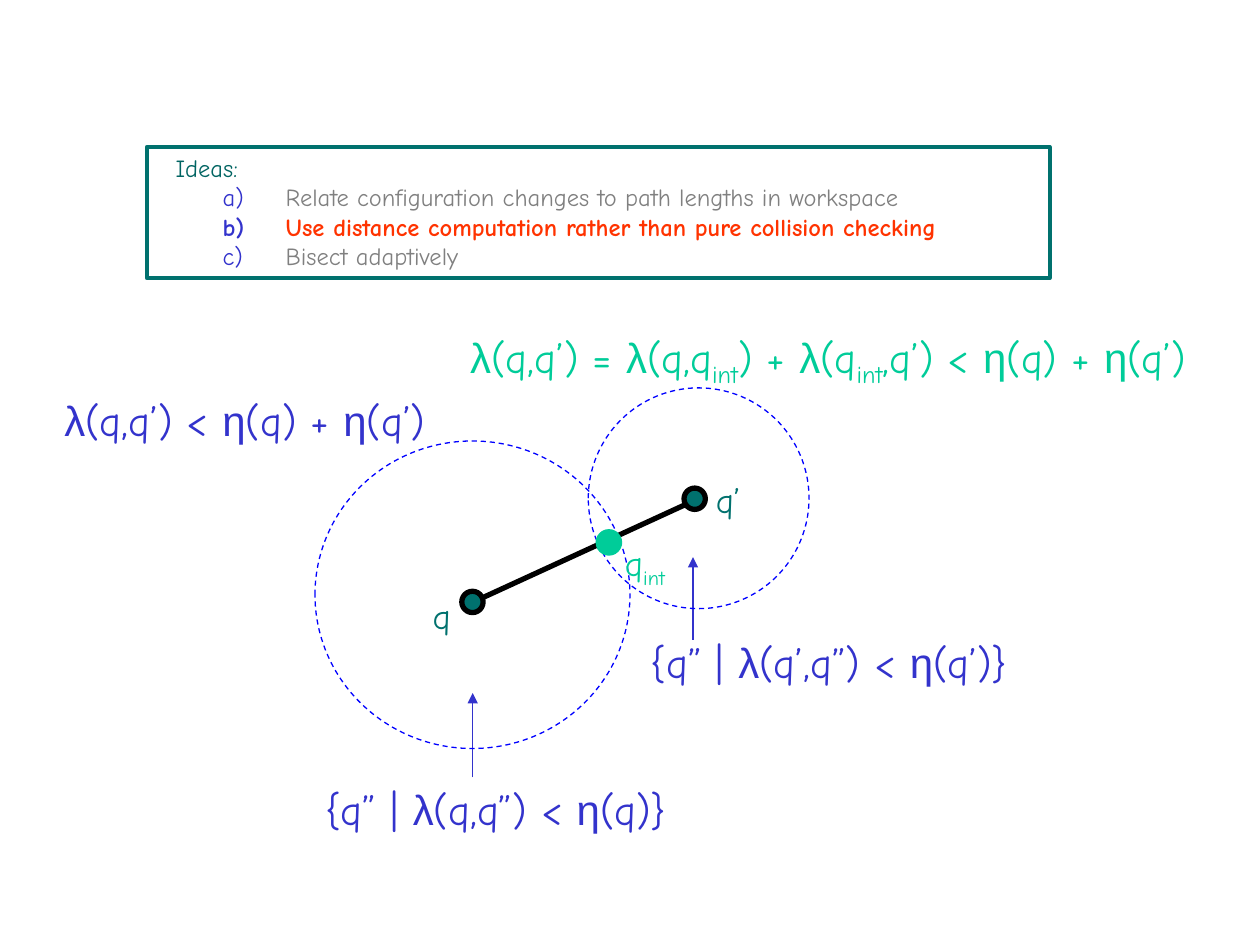
from itertools import groupby

from lxml import etree
from pptx import Presentation
from pptx.dml.color import RGBColor
from pptx.enum.dml import MSO_LINE
from pptx.enum.shapes import MSO_CONNECTOR, MSO_SHAPE
from pptx.enum.text import MSO_ANCHOR, MSO_AUTO_SIZE, PP_ALIGN
from pptx.oxml.ns import qn
from pptx.util import Cm, Pt

OVAL, RECT = MSO_SHAPE.OVAL, MSO_SHAPE.RECTANGLE
STRAIGHT = MSO_CONNECTOR.STRAIGHT
DASH = MSO_LINE.DASH
LEFT, TOP = PP_ALIGN.LEFT, MSO_ANCHOR.TOP
FIT = MSO_AUTO_SIZE.SHAPE_TO_FIT_TEXT

BLACK = RGBColor(0x00, 0x00, 0x00)
TEAL = RGBColor(0x00, 0x71, 0x6E)
DARK_TEAL = RGBColor(0x00, 0x64, 0x62)
BLUE = RGBColor(0x00, 0x00, 0xFF)
INDIGO = RGBColor(0x33, 0x33, 0xCC)
GREEN = RGBColor(0x00, 0xCC, 0x99)
GRAY = RGBColor(0x80, 0x80, 0x80)
RED = RGBColor(0xFF, 0x33, 0x00)
FONT, GREEK_FONT = "Comic Neue", "Arial"


def add_outline(kind, box, color, width, fill=None):
    sp = s.shapes.add_shape(kind, *map(Cm, box))
    sp.shadow.inherit = False
    sp.line.color.rgb = color
    sp.line.width = Pt(width)
    if fill is None:
        sp.fill.background()
    else:
        sp.fill.solid()
        sp.fill.fore_color.rgb = fill
    return sp


def add_run(p, text, color, **formats):
    r = p.add_run()
    r.text = text
    r.font.color.rgb = color
    for name, value in formats.items():
        setattr(r.font, name, value)
    return r


prs = Presentation()
prs.slide_width, prs.slide_height = Cm(25.4), Cm(19.05)
s = prs.slides.add_slide(prs.slide_layouts[6])

for start, end, color, width, arrow in [
    ((9.53, 12.14), (14.17, 10.01), BLACK, 3, False),
    ((9.53, 15.67), (9.53, 13.97), INDIGO, 0.75, True),
    ((13.97, 12.9), (13.97, 11.23), INDIGO, 0.75, True),
]:
    c = s.shapes.add_connector(STRAIGHT, *map(Cm, start + end))
    c.line.color.rgb = color
    c.line.width = Pt(width)
    if arrow:
        etree.SubElement(c.line._get_or_add_ln(), qn("a:tailEnd"), type="triangle")
    etree.SubElement(c._element.spPr, qn("a:effectLst"))

for box in [(6.35, 8.89, 6.35, 6.2), (11.86, 7.82, 4.45, 4.45)]:
    sp = add_outline(OVAL, box, BLUE, 0.75)
    sp.line.dash_style = DASH

for x, y, color, fill in [
    (13.79, 9.84, BLACK, TEAL),
    (9.31, 11.92, BLACK, TEAL),
    (12.06, 10.72, GREEN, GREEN),
]:
    add_outline(OVAL, (x, y, 0.43, 0.43), color, 3, fill)

sp = add_outline(RECT, (2.96, 2.96, 18.2, 2.65), TEAL, 2.25)
tf = sp.text_frame
tf.word_wrap, tf.auto_size, tf.vertical_anchor = True, FIT, TOP
p = tf.paragraphs[0]
p.alignment = LEFT
p._p.get_or_add_pPr().set("marL", str(Cm(0.33)))
add_run(p, "Ideas:", DARK_TEAL, name=FONT, size=Pt(14))

for text, color, bold in [
    ("Relate configuration changes to path lengths in workspace", GRAY, False),
    ("Use distance computation rather than pure collision checking", RED, True),
    ("Bisect adaptively", GRAY, False),
]:
    p = tf.add_paragraph()
    p.alignment, p.level = LEFT, 1
    pPr = p._p.get_or_add_pPr()
    pPr.set("marL", str(Cm(2.55)))
    pPr.set("indent", str(Cm(-1.27)))
    bu = etree.SubElement(pPr, qn("a:buClr"))
    etree.SubElement(bu, qn("a:srgbClr"), val=str(INDIGO))
    etree.SubElement(pPr, qn("a:buFont"), typeface=FONT)
    etree.SubElement(pPr, qn("a:buAutoNum"), type="alphaLcParenR")
    add_run(p, text, color, name=FONT, size=Pt(14), bold=bold)

for text, box, size, color in [
    ("q", (8.47, 11.86, 1.1, 1.12), 20, TEAL),
    ("q’", (14.18, 9.53, 1.5, 1.12), 20, TEAL),
    ("q_int", (12.35, 10.8, 2, 1.22), 20, GREEN),
    ("{q” | λ(q,q”) < η(q)}", (6.31, 15.67, 7.8, 1.27), 24, INDIGO),
    ("{q” | λ(q’,q”) < η(q’)}", (12.87, 12.7, 8.1, 1.27), 24, INDIGO),
    ("λ(q,q’) < η(q) + η(q’)", (1.05, 7.82, 8.2, 1.27), 24, INDIGO),
    ("λ(q,q’) = λ(q,q_int_) + λ(q_int_,q’) < η(q) + η(q’)",
     (9.23, 6.55, 15.6, 1.42), 24, GREEN),
]:
    tf = s.shapes.add_textbox(*map(Cm, box)).text_frame
    tf.word_wrap = True
    p = tf.paragraphs[0]
    for i, part in enumerate(text.split("_")):
        for greek, chars in groupby(part, lambda ch: ch in "λη"):
            r = add_run(p, "".join(chars), color, size=Pt(size),
                        name=GREEK_FONT if greek else FONT)
            if i % 2:
                r._r.get_or_add_rPr().set("baseline", "-25000")

prs.save("out.pptx")
